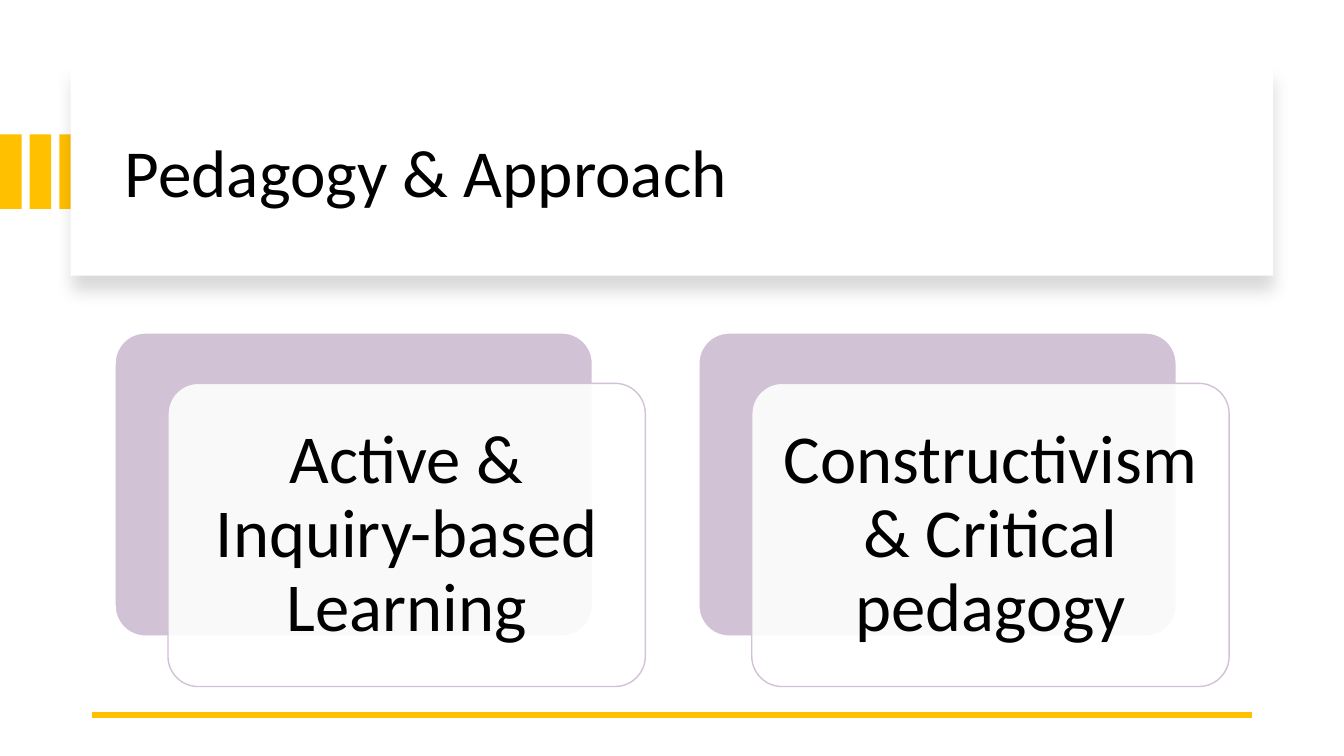
"""Build the Pedagogy & Approach slide."""
import pptx
import pptx.util
import pptx.dml.color
import pptx.enum.shapes
import pptx.enum.text
import pptx.oxml
import pptx.oxml.ns

Pt = pptx.util.Pt
Kind = pptx.enum.shapes.MSO_SHAPE
Align = pptx.enum.text.PP_ALIGN
HUES = {"gold": "FFC000", "white": "FFFFFF", "lilac": "D1C2D5", "black": "000000"}
NS = pptx.oxml.ns.nsdecls("a")


def paint(part, hue):
    part.solid()
    part.fore_color.rgb = pptx.dml.color.RGBColor.from_string(HUES[hue])


def write(shape, text, size=48, align=Align.LEFT, inset=7.2):
    frame = shape.text_frame
    frame.word_wrap = True
    frame.auto_size = pptx.enum.text.MSO_AUTO_SIZE.NONE
    frame.vertical_anchor = pptx.enum.text.MSO_ANCHOR.MIDDLE
    frame.margin_left = frame.margin_right = Pt(inset)
    frame.margin_top = frame.margin_bottom = Pt(inset)
    para = frame.paragraphs[0]
    para.alignment = align
    para.line_spacing = 0.9
    run = para.add_run()
    run.text = text
    run.font.name = "Calibri"
    run.font.size = Pt(size)
    paint(run.font.fill, "black")


deck = pptx.Presentation()
deck.slide_width, deck.slide_height = Pt(960), Pt(540)
slide = deck.slides.add_slide(deck.slide_layouts[5])
shapes = slide.shapes

for num in range(3):
    bar = shapes.add_shape(Kind.RECTANGLE, Pt(21.2 * num), Pt(96), Pt(15.4), Pt(53.3))
    bar.shadow.inherit = False
    paint(bar.fill, "gold")
    bar.line.fill.background()

band = shapes.add_shape(Kind.RECTANGLE, Pt(50.5), Pt(48), Pt(859), Pt(149))
band.shadow.inherit = False
paint(band.fill, "white")
band.line.fill.background()
glow = band.element.spPr.find(pptx.oxml.ns.qn("a:effectLst"))
glow.append(pptx.oxml.parse_xml(
    f'<a:outerShdw {NS} blurRad="{Pt(11)}" dist="{Pt(10)}" dir="5400000" rotWithShape="0">'
    f'<a:srgbClr val="{HUES["black"]}"><a:alpha val="15000"/></a:srgbClr></a:outerShdw>'))

title = shapes.title
title.left, title.top, title.width, title.height = Pt(82), Pt(64), Pt(801.5), Pt(122.5)
write(title, "Pedagogy & Approach")
shapes.element.append(title.element)

rule = shapes.add_connector(
    pptx.enum.shapes.MSO_CONNECTOR.STRAIGHT, Pt(894), Pt(510.5), Pt(66), Pt(510.5))
rule.line.width = Pt(4.5)
paint(rule.line.fill, "gold")
rule.element.spPr.append(pptx.oxml.parse_xml(f"<a:effectLst {NS}/>"))

topics = ["Active & Inquiry-based Learning", "Constructivism & Critical pedagogy"]
for num, topic in enumerate(topics):
    left = 82.2 + 417 * num
    for shift, fill, edge in [(0, "lilac", "white"), (1, "white", "lilac")]:
        card = shapes.add_shape(
            Kind.ROUNDED_RECTANGLE, Pt(left + 37.8 * shift), Pt(237.8 + 36 * shift),
            Pt(341), Pt(216.6))
        card.adjustments[0] = 0.1
        card.shadow.inherit = False
        paint(card.fill, fill)
        paint(card.line.fill, edge)
        card.line.width = Pt(1)
    tint = card.element.spPr.find(pptx.oxml.ns.qn("a:solidFill"))[0]
    tint.append(pptx.oxml.parse_xml(f'<a:alpha {NS} val="90000"/>'))
    write(card, topic, size=49, align=Align.CENTER, inset=14.4)

deck.save("out.pptx")
